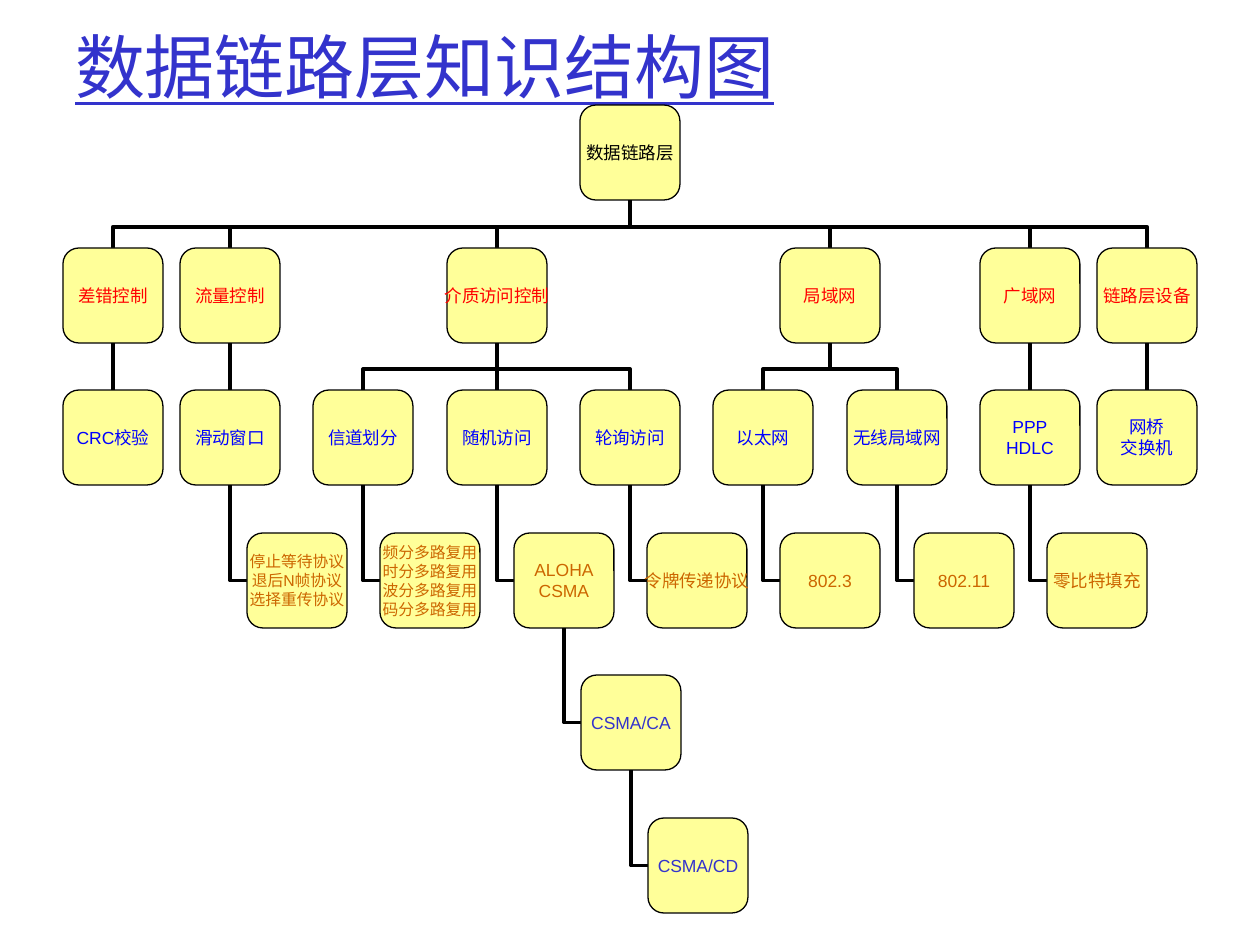
from lxml import etree
from pptx import Presentation
from pptx.dml.color import RGBColor
from pptx.enum.shapes import MSO_CONNECTOR, MSO_SHAPE
from pptx.enum.text import MSO_ANCHOR, PP_ALIGN
from pptx.oxml.ns import qn
from pptx.util import Emu, Pt

PX = 914400 // 126
STRAIGHT, ELBOW = MSO_CONNECTOR.STRAIGHT, MSO_CONNECTOR.ELBOW
ROUNDED = MSO_SHAPE.ROUNDED_RECTANGLE
MIDDLE = MSO_ANCHOR.MIDDLE
LEFT, CENTER = PP_ALIGN.LEFT, PP_ALIGN.CENTER
TOP_SIDE, LEFT_SIDE, BOTTOM_SIDE = 0, 1, 2

BLACK = RGBColor(0x00, 0x00, 0x00)
RED = RGBColor(0xFF, 0x00, 0x00)
BLUE = RGBColor(0x00, 0x00, 0xFF)
ORANGE = RGBColor(0xCC, 0x66, 0x00)
INDIGO = RGBColor(0x33, 0x33, 0xCC)
YELLOW = RGBColor(0xFF, 0xFF, 0x99)
LEVEL_COLORS = [BLACK, RED, BLUE, ORANGE, INDIGO, INDIGO]

NODE_WIDTH, NODE_HEIGHT = 100, 95
ROW_PITCH = 142.6
HANGING_LEVEL = 3
HANGING_INDENT = 67
BEND = 44000

TREE = ("数据链路层", 517, [
    ("差错控制", 0, [("CRC校验", 0, [])]),
    ("流量控制", 117, [
        ("滑动窗口", 117, [("停止等待协议\n退后N帧协议\n选择重传协议", None, [])]),
    ]),
    ("介质访问控制", 384, [
        ("信道划分", 250, [
            ("频分多路复用\n时分多路复用\n波分多路复用\n码分多路复用", None, []),
        ]),
        ("随机访问", 384, [
            ("ALOHA\nCSMA", None, [("CSMA/CA", None, [("CSMA/CD", None, [])])]),
        ]),
        ("轮询访问", 517, [("令牌传递协议", None, [])]),
    ]),
    ("局域网", 717, [
        ("以太网", 650, [("802.3", None, [])]),
        ("无线局域网", 784, [("802.11", None, [])]),
    ]),
    ("广域网", 917, [("PPP\nHDLC", 917, [("零比特填充", None, [])])]),
    ("链路层设备", 1034, [("网桥\n交换机", 1034, [])]),
])


def px(length):
    """Turn a length in px into EMU."""
    return Emu(round(length) * PX)


def write_text(shape, text, *, font, size, color, align, wrap, inset, underline=None):
    """Fill a shape with one paragraph per line of text."""
    frame = shape.text_frame
    frame.word_wrap = wrap
    frame.vertical_anchor = MIDDLE
    frame.margin_left = frame.margin_right = px(inset)
    frame.margin_top = frame.margin_bottom = px(inset / 2)
    frame.text = text
    for para in frame.paragraphs:
        para.alignment = align
        for span in para.runs:
            span.font.name = font
            span.font.size = Pt(size)
            span.font.color.rgb = color
            span.font.underline = underline


def add_title(page, left, top, width, height):
    """Place the underlined page title."""
    box = page.shapes.add_textbox(px(left), px(top), px(width), px(height))
    write_text(box, "数据链路层知识结构图", font="Comic Neue", size=40, color=INDIGO,
               align=LEFT, wrap=True, inset=12, underline=True)


def add_node(page, text, left, top, level):
    """Place one rounded box, coloured by its level in the tree."""
    box = page.shapes.add_shape(ROUNDED, px(left), px(top), px(NODE_WIDTH), px(NODE_HEIGHT))
    box.shadow.inherit = False
    box.fill.solid()
    box.fill.fore_color.rgb = YELLOW
    box.line.color.rgb = BLACK
    box.line.width = Pt(0.75)
    size = 9 if text.count("\n") > 1 else 10
    write_text(box, text, font="Arial", size=size, color=LEVEL_COLORS[level],
               align=CENTER, wrap=False, inset=0)
    return box


def place_frame(link, left, top, width, height, **turn):
    """Set a connector's frame and its rotation and flips."""
    xfrm = link._element.spPr.find(qn("a:xfrm"))
    xfrm.attrib.clear()
    link.left, link.top, link.width, link.height = map(Emu, (left, top, width, height))
    for name, value in turn.items():
        xfrm.set(name, value)


def bend_to_side(link, child, parent):
    """Shape a connector from the child's left side up to the parent's bottom."""
    link._element.spPr.find(qn("a:prstGeom")).set("prst", "bentConnector2")
    left, top = parent.left + parent.width // 2, parent.top + parent.height
    place_frame(link, left, top, child.left - left,
                child.top + child.height // 2 - top, rot="10800000")


def bend_to_bus(link, child, parent):
    """Shape a connector from the child's top over a shared bar to the parent."""
    guides = link._element.spPr.find(qn("a:prstGeom")).find(qn("a:avLst"))
    etree.SubElement(guides, qn("a:gd"), name="adj1", fmla=f"val {BEND}")
    shift = child.left - parent.left
    bottom = parent.top + parent.height
    rise, run = child.top - bottom, abs(shift)
    center_x = parent.left + (parent.width + shift) // 2
    center_y = bottom + rise // 2
    turn = {"rot": "16200000", "flipV": "1"} if shift > 0 else {
        "rot": "5400000", "flipH": "1", "flipV": "1"}
    place_frame(link, center_x - rise // 2, center_y - run // 2, rise, run, **turn)


def add_link(page, child, parent, level):
    """Join a child to its parent, behind the boxes."""
    hanging = level >= HANGING_LEVEL
    kind = STRAIGHT if child.left == parent.left else ELBOW
    link = page.shapes.add_connector(kind, child.left, child.top, parent.left, parent.top)
    link.begin_connect(child, LEFT_SIDE if hanging else TOP_SIDE)
    link.end_connect(parent, BOTTOM_SIDE)
    link.line.color.rgb = BLACK
    link.line.width = Pt(2.25)
    etree.SubElement(link._element.spPr, qn("a:effectLst"))
    if hanging:
        bend_to_side(link, child, parent)
    elif kind == ELBOW:
        bend_to_bus(link, child, parent)
    page.shapes._spTree.insert(2, link._element)


def add_tree(page, node, left, top, level=0, parent=None, hanging_left=0):
    """Place a node and all below it, relative to the tree's corner."""
    text, offset, children = node
    offset = hanging_left if offset is None else offset
    box = add_node(page, text, left + offset, top + level * ROW_PITCH, level)
    if parent is not None:
        add_link(page, box, parent, level)
    for child in children:
        add_tree(page, child, left, top, level + 1, box, offset + HANGING_INDENT)


def main():
    """Build and save the deck."""
    deck = Presentation()
    deck.slide_width, deck.slide_height = px(1260), px(945)
    page = deck.slides.add_slide(deck.slide_layouts[6])
    add_title(page, 63, 16, 1040, 98)
    add_tree(page, TREE, 63, 105)
    deck.save("out.pptx")


if __name__ == "__main__":
    main()
